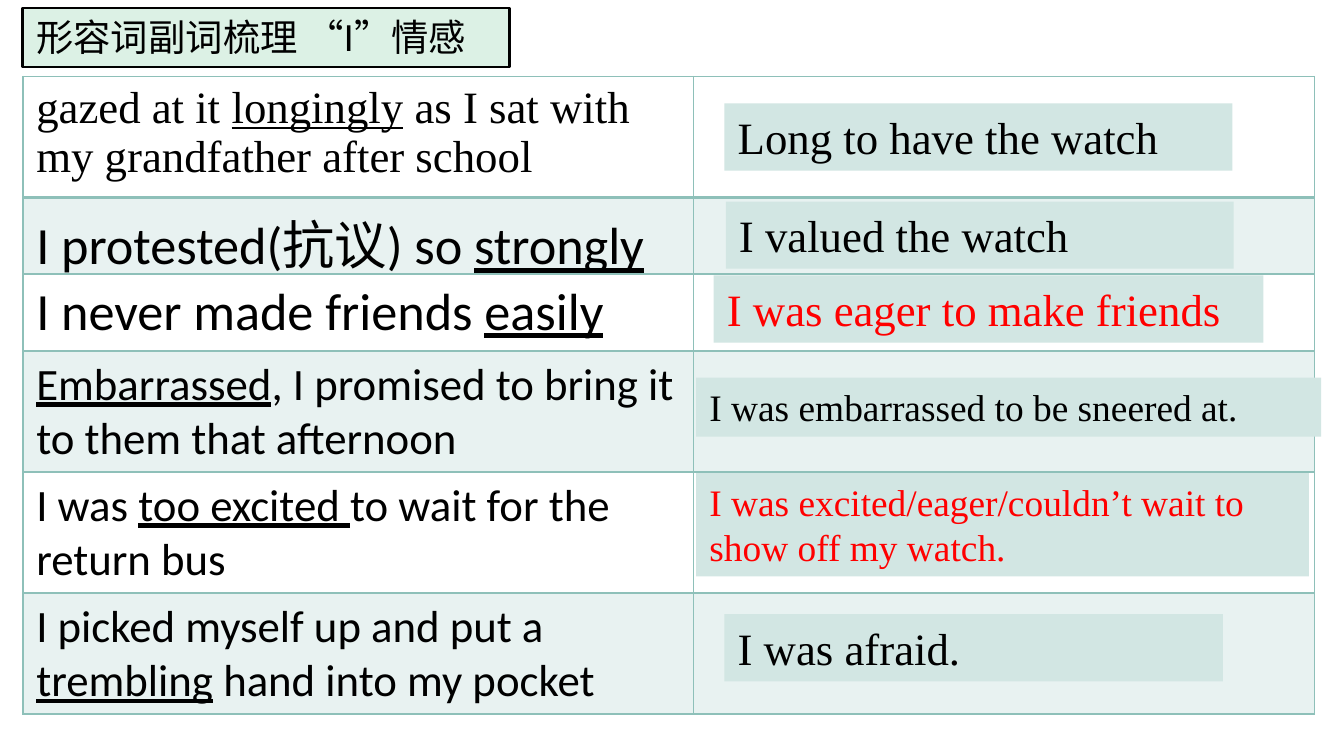
from dataclasses import dataclass

from lxml import etree
from pptx import Presentation
from pptx.dml.color import RGBColor
from pptx.enum.shapes import MSO_SHAPE
from pptx.enum.text import MSO_ANCHOR, MSO_AUTO_SIZE, PP_ALIGN
from pptx.oxml.ns import qn
from pptx.util import Inches, Pt

RECTANGLE = MSO_SHAPE.RECTANGLE
TOP = MSO_ANCHOR.TOP
LEFT = PP_ALIGN.LEFT
GROW = MSO_AUTO_SIZE.SHAPE_TO_FIT_TEXT


@dataclass(frozen=True)
class Theme:
    black: str = "000000"
    red: str = "FF0000"
    teal: str = "8EC0B9"
    answer_fill: str = "D2E6E3"
    title_fill: str = "DCF1E5"
    band_opacity: int = 20
    title_font: str = "Arial"
    body_font: str = "Calibri"
    serif_font: str = "Times New Roman"
    small: int = 20
    medium: int = 24
    large: int = 28


THEME = Theme()

COLUMN_WIDTHS = (4.99, 4.62)
TALL_ROW, SHORT_ROW = 0.9, 0.57

QUOTES = [
    (TALL_ROW, THEME.serif_font, THEME.medium,
     ("gazed at it ", "longingly", " as I sat with my grandfather after school")),
    (SHORT_ROW, THEME.body_font, THEME.large, ("I protested(抗议) so ", "strongly", "")),
    (SHORT_ROW, THEME.body_font, THEME.large, ("I never made friends ", "easily", "")),
    (TALL_ROW, THEME.body_font, THEME.medium,
     ("", "Embarrassed", ", I promised to bring it to them that afternoon")),
    (TALL_ROW, THEME.body_font, THEME.medium,
     ("I was ", "too excited ", "to wait for the return bus")),
    (TALL_ROW, THEME.body_font, THEME.medium,
     ("I picked myself up and put a ", "trembling", " hand into my pocket")),
]

ANSWERS = [
    ((5.39, 0.77, 3.78, 0.5), "Long to have the watch", THEME.medium, THEME.black),
    ((5.4, 1.5, 3.78, 0.5), "I valued the watch", THEME.medium, THEME.black),
    ((5.31, 2.05, 4.09, 0.5), "I was eager to make friends", THEME.medium, THEME.red),
    ((5.18, 2.81, 4.65, 0.44), "I was embarrassed to be sneered at.", THEME.small, THEME.black),
    ((5.18, 3.52, 4.56, 0.77), "I was excited/eager/couldn’t wait to show off my watch.",
     THEME.small, THEME.red),
    ((5.39, 4.57, 3.71, 0.5), "I was afraid.", THEME.medium, THEME.black),
]


def style_font(font, name, size, color):
    font.name = name
    font.size = Pt(size)
    font.color.rgb = RGBColor.from_string(color)


def add_label(slide, box, text, fill, font_name, size, color):
    shape = slide.shapes.add_shape(RECTANGLE, *map(Inches, box))
    shape.shadow.inherit = False
    shape.fill.solid()
    shape.fill.fore_color.rgb = RGBColor.from_string(fill)
    shape.line.fill.background()
    frame = shape.text_frame
    frame.word_wrap = True
    frame.auto_size = GROW
    frame.vertical_anchor = TOP
    frame.text = text
    paragraph = frame.paragraphs[0]
    paragraph.alignment = LEFT
    style_font(paragraph.runs[0].font, font_name, size, color)
    return shape


def add_title(slide):
    shape = add_label(slide, (0.17, 0.06, 3.62, 0.44), "形容词副词梳理 “I”情感",
                      THEME.title_fill, THEME.title_font, THEME.small, THEME.black)
    shape.line.color.rgb = RGBColor.from_string(THEME.black)
    shape.line.width = Pt(1.5)


def set_borders(cell, bottom_width):
    properties = cell._tc.get_or_add_tcPr()
    for side, width in (("L", 1), ("R", 1), ("T", 1), ("B", bottom_width)):
        line = etree.SubElement(properties, qn(f"a:ln{side}"), w=str(Pt(width)))
        fill = etree.SubElement(line, qn("a:solidFill"))
        etree.SubElement(fill, qn("a:srgbClr"), val=THEME.teal)


def fill_cell(cell, banded):
    if not banded:
        cell.fill.background()
        return
    cell.fill.solid()
    cell.fill.fore_color.rgb = RGBColor.from_string(THEME.teal)
    color = cell._tc.tcPr.find(qn("a:solidFill")).find(qn("a:srgbClr"))
    etree.SubElement(color, qn("a:alpha"), val=str(THEME.band_opacity * 1000))


def write_quote(cell, parts, font_name, size):
    paragraph = cell.text_frame.paragraphs[0]
    for text, underlined in zip(parts, (False, True, False)):
        if text:
            run = paragraph.add_run()
            run.text = text
            style_font(run.font, font_name, size, THEME.black)
            run.font.underline = underlined


def add_quote_table(slide):
    height = sum(quote[0] for quote in QUOTES)
    frame = slide.shapes.add_table(len(QUOTES), len(COLUMN_WIDTHS), Inches(0.17), Inches(0.57),
                                   Inches(sum(COLUMN_WIDTHS)), Inches(height))
    table = frame.table
    table.first_row = False
    table.horz_banding = False
    for column, width in zip(table.columns, COLUMN_WIDTHS):
        column.width = Inches(width)
    for index, (row_height, font_name, size, parts) in enumerate(QUOTES):
        row = table.rows[index]
        row.height = Inches(row_height)
        for cell in row.cells:
            set_borders(cell, 2 if index == 0 else 1)
            fill_cell(cell, index % 2 == 1)
        write_quote(row.cells[0], parts, font_name, size)


def main():
    presentation = Presentation()
    presentation.slide_width = Inches(10)
    presentation.slide_height = Inches(10) * 9 // 16
    slide = presentation.slides.add_slide(presentation.slide_layouts[6])
    add_title(slide)
    add_quote_table(slide)
    for box, text, size, color in ANSWERS:
        add_label(slide, box, text, THEME.answer_fill, THEME.serif_font, size, color)
    presentation.save("out.pptx")


if __name__ == "__main__":
    main()
